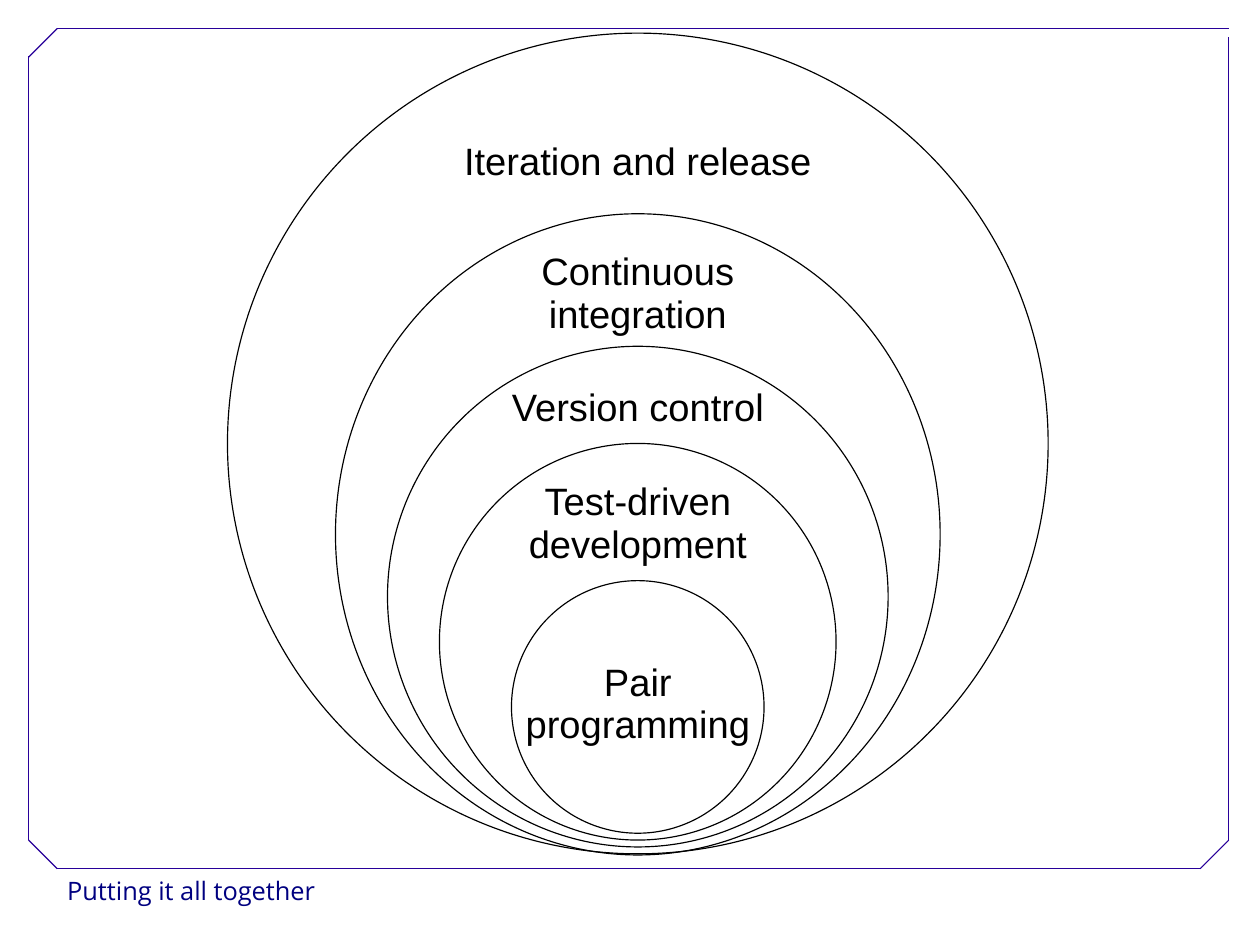
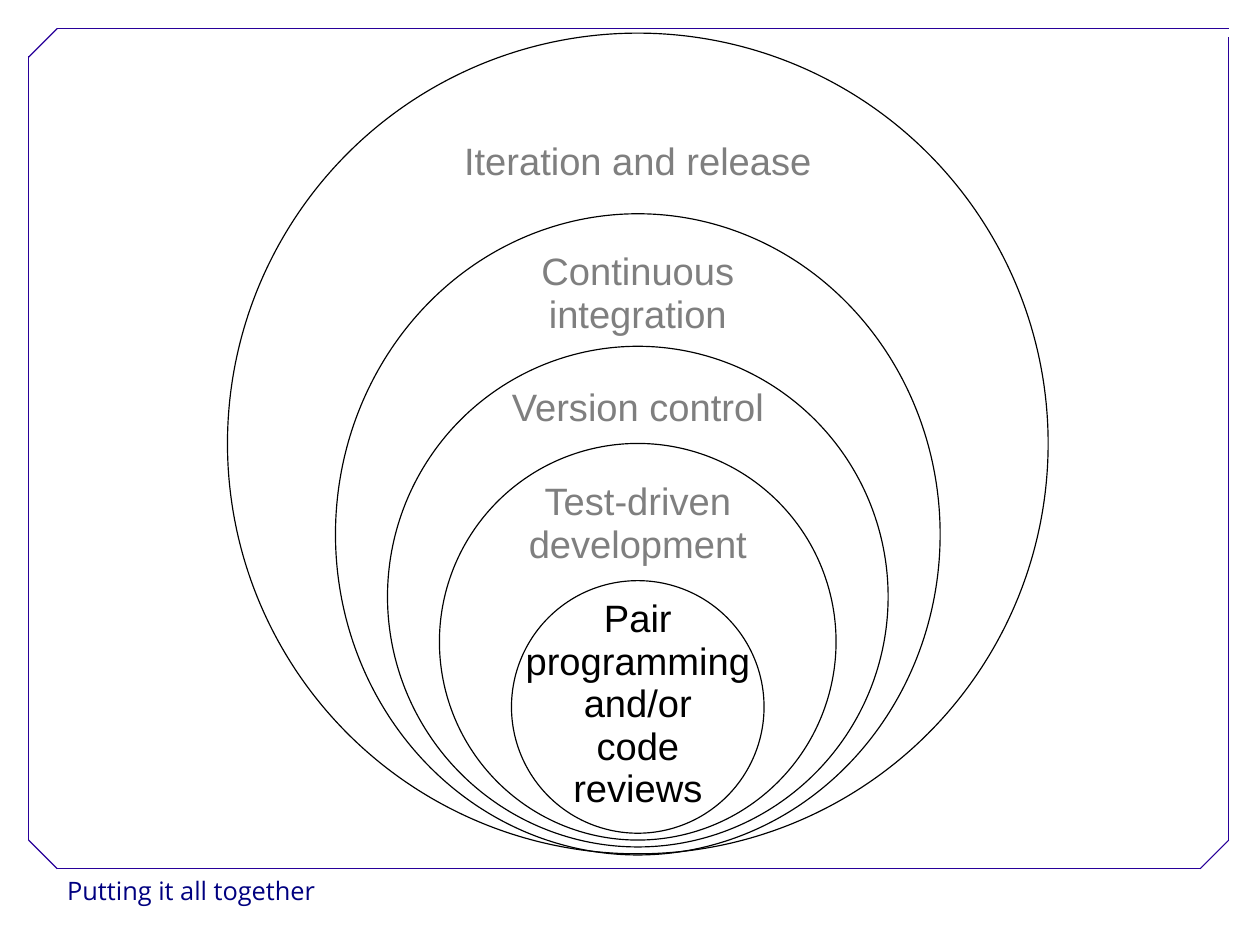
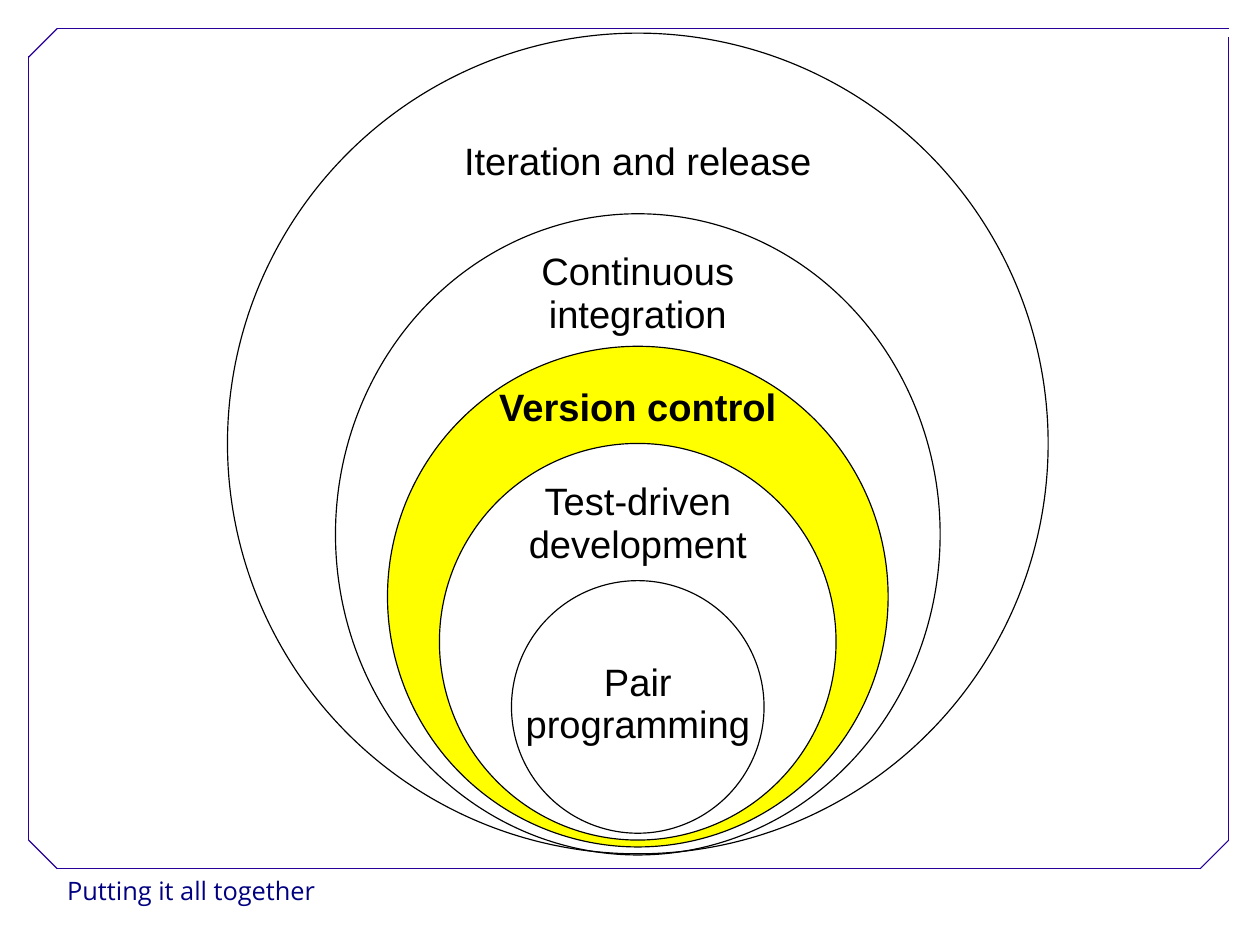
from pptx import Presentation
from pptx.dml.color import RGBColor
from pptx.enum import shapes, text
from pptx.oxml import parse_xml
from pptx.oxml.ns import nsdecls
from pptx.util import Inches, Pt

BLACK = RGBColor(0x00, 0x00, 0x00)
GREY = RGBColor(0x7F, 0x7F, 0x7F)
WHITE = RGBColor(0xFF, 0xFF, 0xFF)
YELLOW = RGBColor(0xFF, 0xFF, 0x00)
NAVY = RGBColor(0x00, 0x00, 0x80)
FRAME_VIOLET = RGBColor(0x28, 0x00, 0x99)

CM_PER_INCH = 2.54
LINE_WIDTH = Pt(0.75)
CENTRE_X = 5.58

# Frame lines: start x, start y, end x, end y
FRAME_LINES = [
    (0.5, 7.6, 10.5, 7.6),
    (0.25, 7.35, 0.25, 0.49),
    (0.5, 0.25, 10.75, 0.25),
    (10.75, 7.35, 10.75, 0.32),
    (0.25, 0.5, 0.5, 0.25),
    (10.5, 7.6, 10.75, 7.35),
    (0.25, 7.35, 0.5, 7.6),
]

# Rings from outside in: label, top, width, height, label middle, label width
RINGS = [
    ("Iteration and release", 0.29, 7.18, 7.18, 1.42, 3.26),
    ("Continuous integration", 1.87, 5.29, 5.61, 2.58, 2.71),
    ("Version control", 3.03, 4.38, 4.38, 3.58, 2.71),
    ("Test-driven development", 3.88, 3.47, 3.47, 4.59, 2.22),
    ("Pair programming", 5.08, 2.21, 2.21, 6.17, 2.25),
]
PAIR_OR_REVIEWS = "Pair programming\nand/or\ncode\nreviews"
LABEL_HEIGHTS = {
    "Iteration and release": 0.47,
    "Version control": 0.47,
    PAIR_OR_REVIEWS: 1.96,
}
TWO_LINE_HEIGHT = 0.85

# Per slide: ring fills, label colours, bold labels, replaced wording
OUTER_LABELS = [ring[0] for ring in RINGS[:-1]]
SLIDES = [
    ({}, {}, (), {}),
    ({}, dict.fromkeys(OUTER_LABELS, GREY), (),
     {"Pair programming": PAIR_OR_REVIEWS}),
    ({"Version control": YELLOW, "Test-driven development": WHITE}, {},
     ("Version control",), {}),
]


def add_text(slide, wording, left, top, width, height):
    """Add a wrapping text box, anchored at its top."""
    box = slide.shapes.add_textbox(
        Inches(left), Inches(top), Inches(width), Inches(height))
    box.text_frame.word_wrap = True
    box.text_frame.vertical_anchor = text.MSO_ANCHOR.TOP
    box.text_frame.text = wording
    return box


def add_frame(slide):
    """Add the cut-corner border and the footer title."""
    footer = add_text(slide, "Putting it all together", 0.49, 7.6, 2.4, 0.4)
    footer.text_frame.word_wrap = False
    footer.fill.solid()
    footer.fill.fore_color.rgb = WHITE
    paragraph = footer.text_frame.paragraphs[0]
    paragraph.line_spacing = 1.02
    paragraph.font.name = "Open Sans"
    paragraph.font.size = Pt(16)
    paragraph.font.color.rgb = NAVY
    for line_ends in FRAME_LINES:
        line = slide.shapes.add_connector(
            shapes.MSO_CONNECTOR.STRAIGHT, *map(Inches, line_ends))
        line.line.color.rgb = FRAME_VIOLET
        line.line.width = LINE_WIDTH
        line._element.spPr.append(parse_xml(f"<a:effectLst {nsdecls('a')}/>"))


presentation = Presentation()
presentation.slide_width = Inches(28 / CM_PER_INCH)
presentation.slide_height = Inches(21 / CM_PER_INCH)
blank_layout = presentation.slide_layouts[6]

for fills, label_colours, bold_labels, replacements in SLIDES:
    slide = presentation.slides.add_slide(blank_layout)
    add_frame(slide)

    for name, top, width, height, _, _ in RINGS:
        ring = slide.shapes.add_shape(
            shapes.MSO_SHAPE.OVAL, Inches(CENTRE_X - width / 2), Inches(top),
            Inches(width), Inches(height))
        ring.shadow.inherit = False
        ring.line.color.rgb = BLACK
        ring.line.width = LINE_WIDTH
        if name in fills:
            ring.fill.solid()
            ring.fill.fore_color.rgb = fills[name]
        else:
            ring.fill.background()

    for name, _, _, _, middle, width in RINGS:
        wording = replacements.get(name, name)
        height = LABEL_HEIGHTS.get(wording, TWO_LINE_HEIGHT)
        label = add_text(slide, wording, CENTRE_X - width / 2,
                         middle - height / 2, width, height)
        label.text_frame.auto_size = text.MSO_AUTO_SIZE.SHAPE_TO_FIT_TEXT
        for paragraph in label.text_frame.paragraphs:
            paragraph.alignment = text.PP_ALIGN.CENTER
            paragraph.line_spacing = 0.93
            paragraph.font.name = "Arial"
            paragraph.font.size = Pt(24)
            paragraph.font.bold = name in bold_labels
            paragraph.font.color.rgb = label_colours.get(name, BLACK)

presentation.save("out.pptx")
